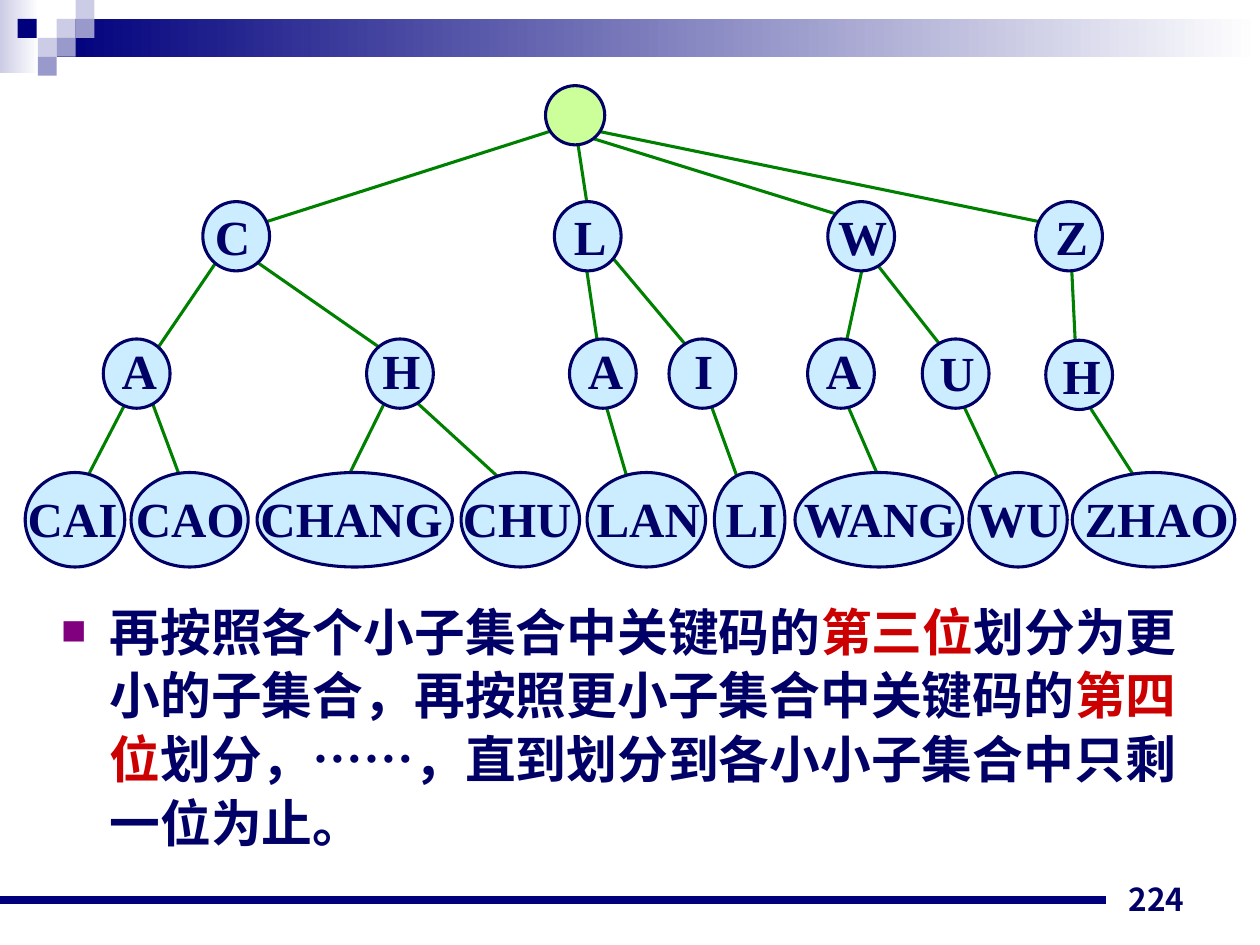
import pptx
import pptx.util
import pptx.dml.color
import pptx.enum.shapes
import pptx.enum.text
import pptx.oxml
import pptx.oxml.ns

Inches, Pt = pptx.util.Inches, pptx.util.Pt
Align, Anchor = pptx.enum.text.PP_ALIGN, pptx.enum.text.MSO_ANCHOR
Shape = pptx.enum.shapes.MSO_SHAPE

NAVY, INK, RED, GREEN = "00007D", "000066", "CC0000", "008000"
PALE, MID, SKY, LIME = "CCCCE6", "9999CC", "CCECFF", "CCFF99"
SERIF, SANS = "Times New Roman", "Noto Sans CJK JP"

# left, top, colour of the small corner squares
TILES = [(0.45, 0.15, PALE), (0.6, 0, PALE), (0.6, 0.15, MID), (0.3, 0.3, PALE),
         (0.14, 0.15, NAVY), (0.45, 0.3, MID), (0.3, 0.45, MID)]

# x1, x2, y1, y2
EDGES = [
    (8.54, 8.5, 2.84, 2.02), (1.73, 1.22, 2.06, 2.81), (2.01, 3.03, 2.06, 2.77),
    (4.65, 4.76, 2.1, 2.84), (4.84, 5.47, 2.02, 2.77), (6.85, 6.69, 2.1, 2.84),
    (6.93, 7.52, 2.06, 2.81), (2.05, 4.53, 1.78, 0.99), (4.57, 4.69, 1.03, 1.82),
    (4.61, 6.77, 1.07, 1.74), (4.69, 8.35, 1.03, 1.78), (1.46, 1.18, 3.87, 3.12),
    (0.67, 1.1, 3.83, 3), (3.11, 2.72, 3.08, 3.87), (3.27, 4.09, 3.16, 3.91),
    (4.69, 5, 2.81, 3.87), (5.55, 5.91, 2.96, 3.95), (6.65, 7.01, 3.04, 3.87),
    (7.6, 8.03, 3.12, 4.03), (8.5, 9.06, 3, 3.87),
]

# word, oval left, oval width, label left, label width
LEAVES = [
    ("CAI", 0.2, 0.79, 0.12, 0.91), ("CAO", 1.04, 0.93, 0.94, 1.14),
    ("CHANG", 2.04, 1.55, 1.88, 1.82), ("CHU", 3.66, 0.94, 3.53, 1.15),
    ("LAN", 4.66, 0.94, 4.57, 1.15), ("LI", 5.67, 0.56, 5.51, 0.91),
    ("WANG", 6.31, 1.33, 6.18, 1.61), ("WU", 7.69, 0.78, 7.56, 1.06),
    ("ZHAO", 8.51, 1.29, 8.47, 1.42),
]

# letter, oval left, oval top, label left, label top
LETTERS = [
    ("C", 1.61, 1.6, 1.49, 1.59), ("L", 4.4, 1.6, 4.33, 1.59),
    ("W", 6.57, 1.6, 6.49, 1.59), ("Z", 8.22, 1.6, 8.15, 1.59),
    ("A", 0.82, 2.69, 0.75, 2.65), ("H", 2.91, 2.69, 2.83, 2.65),
    ("A", 4.52, 2.69, 4.45, 2.65), ("I", 5.31, 2.69, 5.23, 2.65),
    ("A", 6.41, 2.69, 6.34, 2.65), ("U", 7.32, 2.69, 7.24, 2.67),
    ("H", 8.3, 2.7, 8.23, 2.69),
]

NOTE = [("再按照各个小子集合中关键码的", INK), ("第三位", RED),
        ("划分为更小的子集合，再按照更小子集合中关键码的", INK), ("第四位", RED),
        ("划分，……，直到划分到各小小子集合中只剩一位为止。", INK)]


def rgb(code):
    return pptx.dml.color.RGBColor.from_string(code)


def add_tag(owner, tag, **attrs):
    node = pptx.oxml.ns.qn(tag)
    child = owner.makeelement(node, attrs)
    owner.append(child)
    return child


def write(para, text, size=28, face=SERIF, color=INK):
    run = para.add_run()
    run.text = text
    font = run.font
    font.size, font.name, font.bold = Pt(size), face, True
    font.color.rgb = rgb(color)
    add_tag(run._r.get_or_add_rPr(), "a:ea", typeface=SANS)


def add_label(slide, text, box, align=Align.CENTER, anchor=Anchor.TOP, side=0, **style):
    frame = slide.shapes.add_textbox(*map(Inches, box)).text_frame
    frame.word_wrap = True
    frame.margin_left = frame.margin_right = Inches(side)
    frame.vertical_anchor = anchor
    para = frame.paragraphs[0]
    para.alignment = align
    write(para, text, **style)


def add_form(slide, kind, box, fill, line=None):
    """Draw a preset shape; a pair of fill colours gives a gradient to the right."""
    form = slide.shapes.add_shape(kind, *map(Inches, box))
    form.shadow.inherit = False
    if isinstance(fill, tuple):
        form.fill.gradient()
        form.fill.gradient_angle = 0
        for stop, color in zip(form.fill.gradient_stops, fill):
            stop.color.rgb = rgb(color)
    else:
        form.fill.solid()
        form.fill.fore_color.rgb = rgb(fill)
    if line:
        form.line.color.rgb = rgb(line)
        form.line.width = Pt(1.75)
    else:
        form.line.fill.background()


def add_line(slide, x1, x2, y1, y2, color=GREEN, width=1.75):
    straight = pptx.enum.shapes.MSO_CONNECTOR.STRAIGHT
    line = slide.shapes.add_connector(straight, *map(Inches, (x1, y1, x2, y2)))
    line.line.color.rgb = rgb(color)
    line.line.width = Pt(width)
    add_tag(line._element.spPr, "a:effectLst")


def add_frame(slide):
    add_form(slide, Shape.RECTANGLE, (0, 0, 0.31, 0.58), (PALE, "FFFFFF"))
    add_form(slide, Shape.RECTANGLE, (0.45, 0.15, 9.55, 0.3), (NAVY, "FFFFFF"))
    for left, top, color in TILES:
        add_form(slide, Shape.RECTANGLE, (left, top, 0.15, 0.15), color)
    add_line(slide, 0, 8.78, 7.14, 7.14, color=NAVY, width=4.5)
    add_label(slide, "224", (7.17, 6.83, 2.33, 0.5), align=Align.RIGHT,
              anchor=Anchor.BOTTOM, side=0.1, size=18, face=SANS)


def add_note(slide):
    body = slide.placeholders[1]
    body.left, body.top, body.width, body.height = map(Inches, (0.39, 4.69, 9.14, 2.13))
    body.text_frame.auto_size = pptx.enum.text.MSO_AUTO_SIZE.NONE
    para = body.text_frame.paragraphs[0]
    para.line_spacing = 1.05
    para.space_before = Pt(0)
    props = para._p.get_or_add_pPr()
    props.set("marL", str(Inches(0.38)))
    props.set("indent", str(Inches(-0.38)))
    add_tag(add_tag(props, "a:buClr"), "a:srgbClr", val="800080")
    add_tag(props, "a:buSzPct", val="50000")
    add_tag(props, "a:buFont", typeface=SANS)
    add_tag(props, "a:buChar", char="■")
    for text, color in NOTE:
        write(para, text, size=29, color=color)


def add_tree(slide):
    for edge in EDGES:
        add_line(slide, *edge)
    for word, left, width, start, span in LEAVES:
        add_form(slide, Shape.OVAL, (left, 3.75, width, 0.75), SKY, INK)
        add_label(slide, word, (start, 3.83, span, 0.57))
    add_form(slide, Shape.OVAL, (4.33, 0.68, 0.47, 0.47), LIME, INK)
    for letter, left, top, start, head in LETTERS:
        add_form(slide, Shape.OVAL, (left, top, 0.53, 0.55), SKY, INK)
        add_label(slide, letter, (start, head, 0.71, 0.57))


def main():
    deck = pptx.Presentation()
    deck.slide_width, deck.slide_height = Inches(10), Inches(7.5)
    slide = deck.slides.add_slide(deck.slide_layouts[1])
    title = slide.shapes.title._element
    title.getparent().remove(title)
    add_frame(slide)
    add_note(slide)
    add_tree(slide)
    deck.save("out.pptx")


if __name__ == "__main__":
    main()
